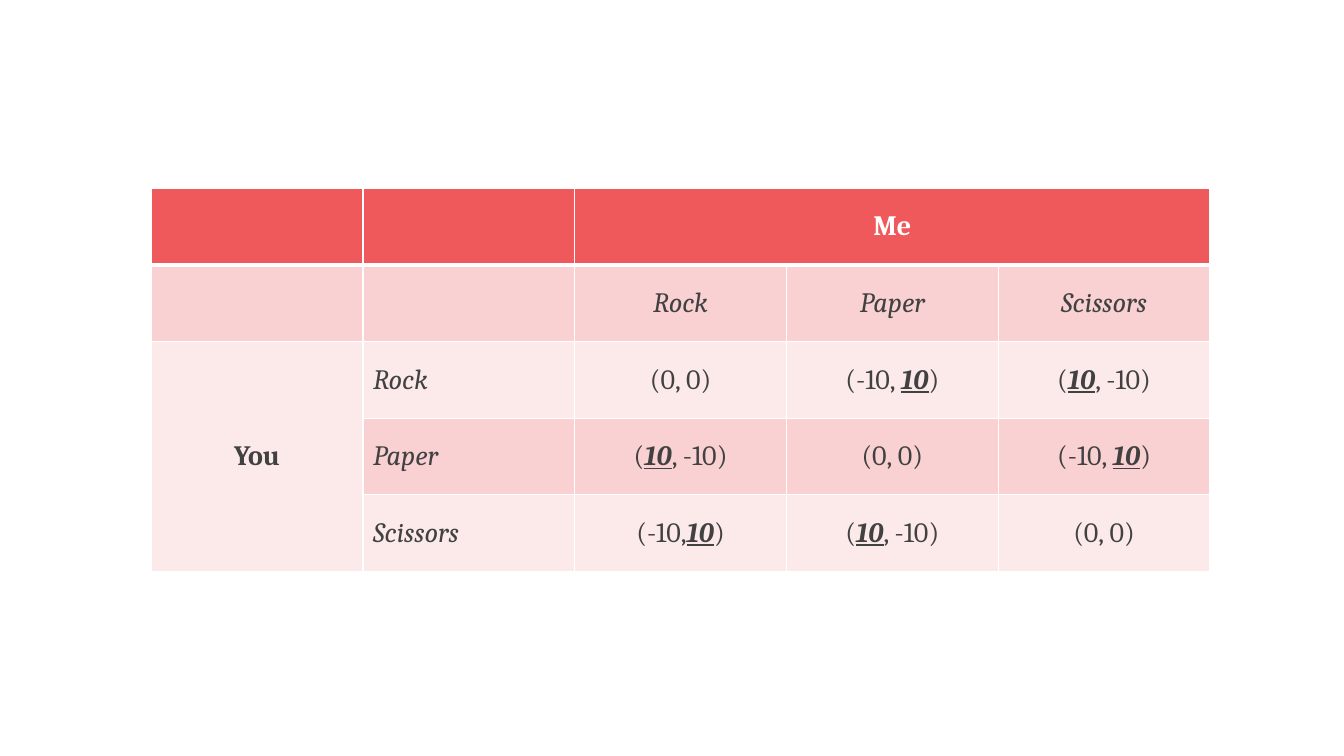
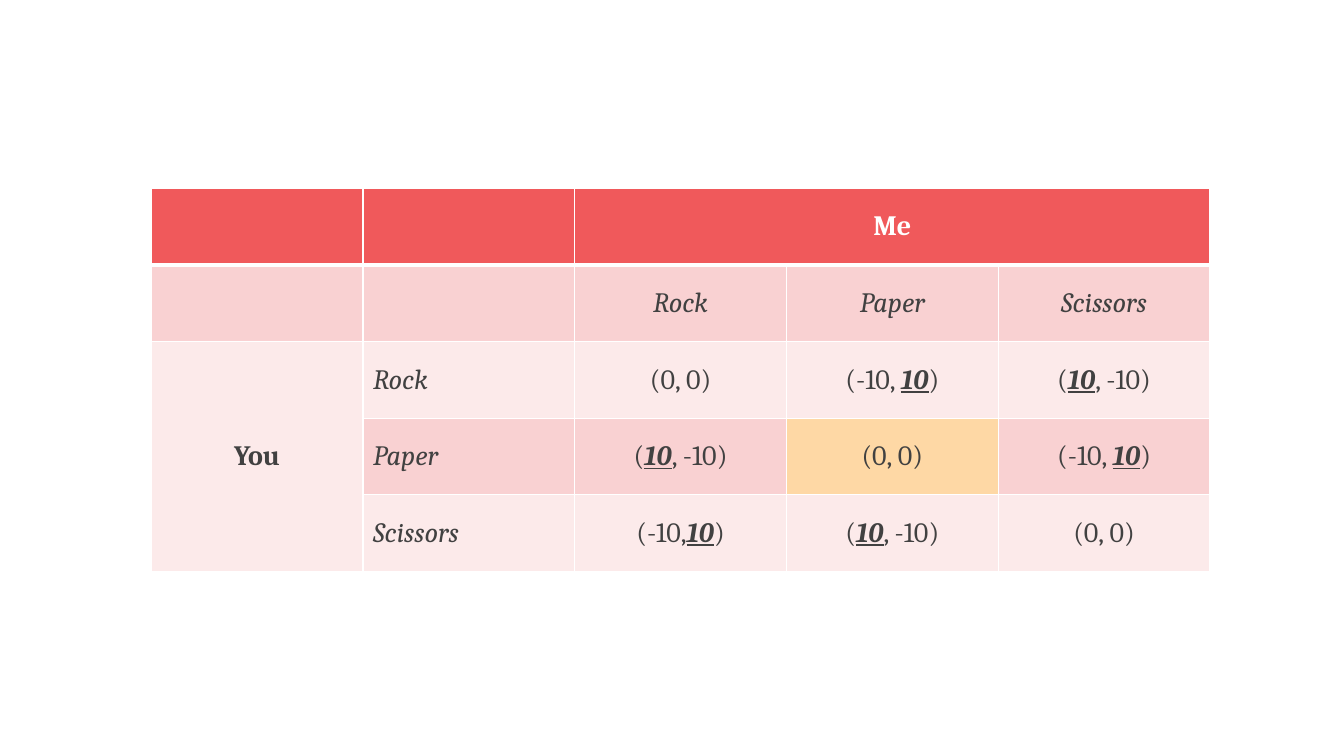
from lxml.etree import SubElement
from pptx import Presentation
from pptx.dml.color import RGBColor
from pptx.enum.text import MSO_ANCHOR as Anchor, PP_ALIGN as Align
from pptx.oxml.ns import qn
from pptx.util import Inches, Pt

WHITE = RGBColor(0xFF, 0xFF, 0xFF)
INK = RGBColor(0x41, 0x41, 0x41)
RED = RGBColor(0xF0, 0x59, 0x5B)
ROSE = RGBColor(0xF9, 0xD1, 0xD2)
BLUSH = RGBColor(0xFC, 0xEA, 0xEA)
AMBER = RGBColor(0xFE, 0xD8, 0xA5)

FONT = {"name": "Cambria", "size": Pt(20)}
HEADING = {"bold": True}
MOVE = {"italic": True}
BEST_RESPONSE = {"bold": True, "italic": True, "underline": True}

TABLE_BOX = (1.5, 1.87, 10.5, 3.8)
ROW_FILLS = [RED, ROSE, BLUSH, ROSE, BLUSH]
PAYOFFS = [
    ["", "", "Me", "", ""],
    ["", "", "Rock", "Paper", "Scissors"],
    ["You", "Rock", "(0, 0)", "(-10, *10*)", "(*10*, -10)"],
    ["", "Paper", "(*10*, -10)", "(0, 0)", "(-10, *10*)"],
    ["", "Scissors", "(-10,*10*)", "(*10*, -10)", "(0, 0)"],
]


def set_borders(cell, row):
    """Draw white cell edges, thick between the header and the body."""
    properties = cell._tc.get_or_add_tcPr()
    widths = {"L": 1, "R": 1, "T": 3 if row == 1 else 1, "B": 3 if row == 0 else 1}
    for side, width in widths.items():
        line = SubElement(properties, qn(f"a:ln{side}"), w=str(Pt(width)))
        fill = SubElement(line, qn("a:solidFill"))
        SubElement(fill, qn("a:srgbClr"), val=str(WHITE))


def base_format(row, column):
    """Return the font settings for a place in the payoff table."""
    if row == 0 or column == 0:
        return HEADING
    return MOVE if row == 1 or column == 1 else {}


def write_cell(cell, text, row, column):
    """Write text in a cell, with the parts between asterisks as best responses."""
    cell.vertical_anchor = Anchor.MIDDLE
    paragraph = cell.text_frame.paragraphs[0]
    paragraph.alignment = Align.LEFT if column == 1 else Align.CENTER
    for index, part in enumerate(text.split("*")):
        run = paragraph.add_run()
        run.text = part
        emphasis = BEST_RESPONSE if index % 2 else base_format(row, column)
        for name, value in {**FONT, **emphasis}.items():
            setattr(run.font, name, value)
        run.font.color.rgb = WHITE if row == 0 else INK


def add_payoff_table(slide, box, highlights):
    """Add the game's payoff table in a box, with highlighted cells in amber."""
    left, top, width, height = map(Inches, box)
    size = len(PAYOFFS)
    table = slide.shapes.add_table(size, size, left, top, width, height).table
    table.first_row = table.horz_banding = False
    for row, texts in enumerate(PAYOFFS):
        for column, text in enumerate(texts):
            cell = table.cell(row, column)
            set_borders(cell, row)
            cell.fill.solid()
            cell.fill.fore_color.rgb = AMBER if (row, column) in highlights else ROW_FILLS[row]
            if text:
                write_cell(cell, text, row, column)
    table.cell(0, 2).merge(table.cell(0, 4))
    table.cell(2, 0).merge(table.cell(4, 0))


def main():
    """Build the plain and the highlighted payoff slides."""
    presentation = Presentation()
    presentation.slide_width = Inches(13.33)
    presentation.slide_height = Inches(7.5)
    for highlights in [set(), {(3, 3)}]:
        slide = presentation.slides.add_slide(presentation.slide_layouts[6])
        add_payoff_table(slide, TABLE_BOX, highlights)
    presentation.save("out.pptx")


if __name__ == "__main__":
    main()
